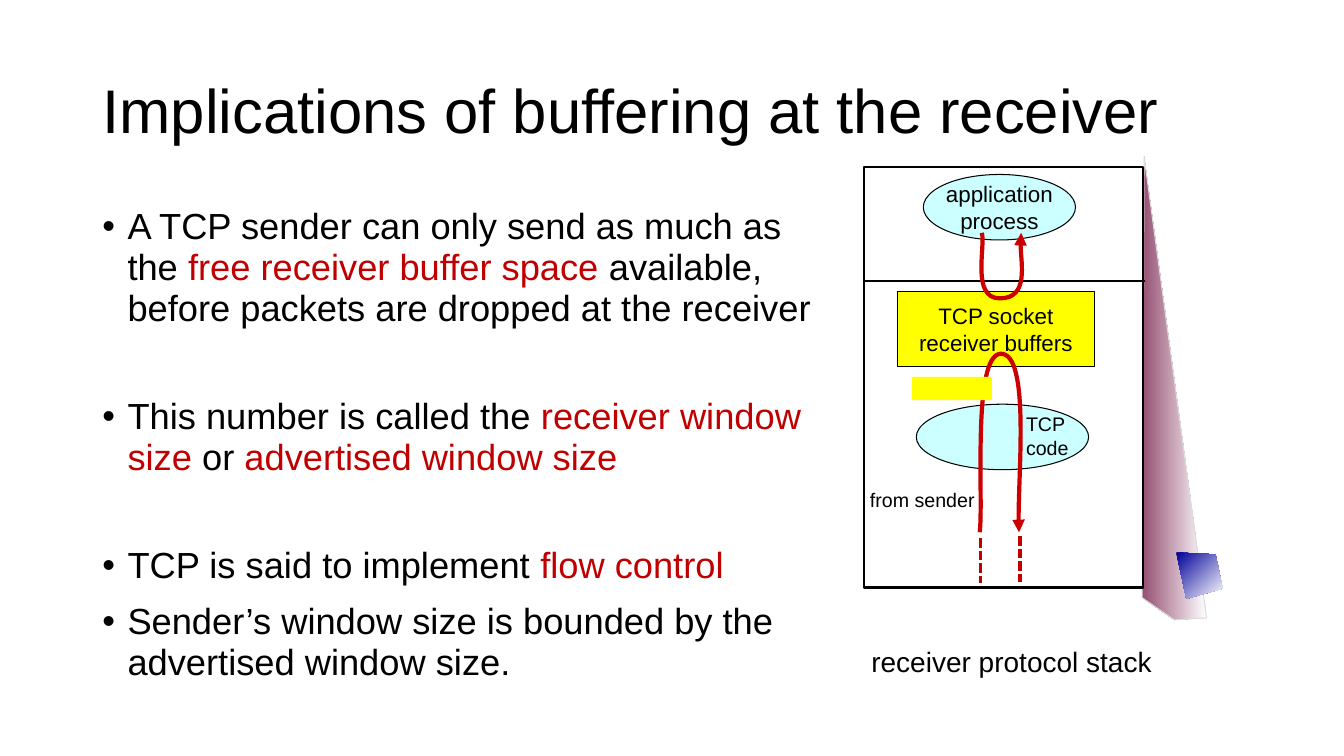
from lxml import etree
from pptx import Presentation
from pptx.dml.color import RGBColor
from pptx.enum.dml import MSO_LINE
from pptx.enum.shapes import MSO_CONNECTOR, MSO_SHAPE
from pptx.enum.text import MSO_ANCHOR, MSO_AUTO_SIZE, PP_ALIGN
from pptx.oxml.ns import qn
from pptx.util import Pt

RECTANGLE, OVAL = MSO_SHAPE.RECTANGLE, MSO_SHAPE.OVAL
LEFT, CENTER = PP_ALIGN.LEFT, PP_ALIGN.CENTER
FONT = "Arial"
HEX = {
    "black": "000000", "white": "FFFFFF", "highlight": "C00000", "flow": "CC0000",
    "process": "CCFFFF", "buffer": "FFFF00", "plum": "954F72", "navy": "000099",
    "edge": "DDDDDD",
}
COLORS = {name: RGBColor.from_string(value) for name, value in HEX.items()}

presentation = Presentation()
presentation.slide_width, presentation.slide_height = Pt(960), Pt(540)
slide = presentation.slides.add_slide(presentation.slide_layouts[5])
shapes = slide.shapes


def write_lines(shape, text, size, alignment):
    """Fill a shape with unwrapped text, one paragraph for each line."""
    frame = shape.text_frame
    frame.text = text
    frame.word_wrap = False
    for paragraph in frame.paragraphs:
        paragraph.alignment = alignment
        paragraph.font.name, paragraph.font.size = FONT, Pt(size)
        paragraph.font.color.rgb = COLORS["black"]


def add_outline(points, closed):
    (start_x, start_y), *others = points
    builder = shapes.build_freeform(Pt(start_x), Pt(start_y))
    builder.add_line_segments([(Pt(x), Pt(y)) for x, y in others], close=closed)
    shape = builder.convert_to_shape()
    shape.shadow.inherit = False
    return shape


# Title
title = shapes.title
title.left, title.top, title.width, title.height = Pt(66), Pt(29), Pt(828), Pt(104)
title.text_frame.text = "Implications of buffering at the receiver"
title.text_frame.auto_size = MSO_AUTO_SIZE.NONE
title.text_frame.vertical_anchor = MSO_ANCHOR.MIDDLE
paragraph = title.text_frame.paragraphs[0]
paragraph.alignment, paragraph.line_spacing = LEFT, 0.9
paragraph.font.name, paragraph.font.size = FONT, Pt(44)
paragraph.font.color.rgb = COLORS["black"]

# Bullets: space before, then alternating plain and highlighted runs
bullets = [
    (0, ["A TCP sender can only send as much as the ", "free receiver buffer space ",
         "available, before packets are dropped at the receiver"]),
    (48, ["This number is called the ", "receiver window size ", "or",
          " advertised window size"]),
    (48, ["TCP is said to implement ", "flow control"]),
    (11, ["Sender’s window size is bounded by the advertised window size."]),
]
body = shapes.add_textbox(Pt(66), Pt(144), Pt(533), Pt(343)).text_frame
body.word_wrap = True
for index, (space_before, parts) in enumerate(bullets):
    paragraph = body.add_paragraph() if index else body.paragraphs[0]
    properties = paragraph._p.get_or_add_pPr()
    properties.set("marL", str(Pt(18)))
    properties.set("indent", str(Pt(-18)))
    etree.SubElement(properties, qn("a:buFont")).set("typeface", FONT)
    etree.SubElement(properties, qn("a:buChar")).set("char", "•")
    paragraph.line_spacing = 0.94
    paragraph.space_before = Pt(space_before)
    paragraph.font.name, paragraph.font.size = FONT, Pt(25.9)
    for position, part in enumerate(parts):
        run = paragraph.add_run()
        run.text = part
        run.font.color.rgb = COLORS["highlight" if position % 2 else "black"]

# Perspective panel and small tilted square
panel = add_outline([(861.8, 441.4), (817.2, 111.6), (815.8, 427), (838.8, 442.8)], True)
square = add_outline([(840.2, 394.6), (868.3, 396), (873.4, 420.5), (847.4, 427.7)], True)
for shape, color, angle in [(panel, "plum", 0), (square, "navy", 315)]:
    shape.fill.gradient()
    shape.fill.gradient_angle = angle
    for stop, name in zip(shape.fill.gradient_stops, (color, "white")):
        stop.color.rgb = COLORS[name]
panel.line.color.rgb, panel.line.width = COLORS["edge"], Pt(0.75)
square.line.fill.background()

# Protocol stack
blocks = [
    (RECTANGLE, 617, 119.5, 199.4, 300.2, "white", 1.5, ""),
    (OVAL, 659.5, 124.6, 108.7, 46.8, "process", 0.75, "application\nprocess"),
    (RECTANGLE, 640.8, 208.1, 141.1, 54, "buffer", 0.75, "TCP socket\nreceiver buffers"),
    (OVAL, 654.5, 288.7, 123.1, 46.8, "process", 0.75, ""),
]
for preset, left, top, width, height, fill, line_width, text in blocks:
    block = shapes.add_shape(preset, Pt(left), Pt(top), Pt(width), Pt(height))
    block.shadow.inherit = False
    block.fill.solid()
    block.fill.fore_color.rgb = COLORS[fill]
    block.line.color.rgb, block.line.width = COLORS["black"], Pt(line_width)
    if text:
        block.text_frame.vertical_anchor = MSO_ANCHOR.MIDDLE
        write_lines(block, text, 16, CENTER)

# Divider and dashed tails
lines = [
    (617, 200.9, 817.9, 200.9, "black", 1.5, MSO_LINE.SOLID),
    (700.6, 384.5, 700.6, 416.2, "highlight", 2.25, MSO_LINE.SQUARE_DOT),
    (728.6, 383, 728.6, 415.4, "highlight", 2.25, MSO_LINE.SQUARE_DOT),
]
for x1, y1, x2, y2, color, width, dash in lines:
    connector = shapes.add_connector(MSO_CONNECTOR.STRAIGHT, Pt(x1), Pt(y1), Pt(x2), Pt(y2))
    connector.line.color.rgb, connector.line.width = COLORS[color], Pt(width)
    connector.line.dash_style = dash
    etree.SubElement(connector._element.spPr, qn("a:effectLst"))

# Flow loops: a start point, then three points for each Bézier curve
loops = [
    ("a:tailEnd", [(699.8, 380.2), (702.7, 359.3), (694.1, 252.7), (715, 252.7),
                   (735.8, 252.7), (725.8, 353.5), (727.9, 380.2)]),
    ("a:headEnd", [(729.4, 166.3), (727.2, 173.5), (735.1, 213.1), (714.2, 213.1),
                   (693.4, 213.1), (704.2, 175.7), (701.3, 166.3)]),
]
for arrow_end, points in loops:
    loop = add_outline(points, False)
    loop.fill.background()
    loop.line.color.rgb, loop.line.width = COLORS["flow"], Pt(3)
    etree.SubElement(loop.line._get_or_add_ln(), qn(arrow_end)).set("type", "triangle")
    segments = list(loop._element.iter(qn("a:lnTo")))
    for first in range(0, len(segments), 3):
        curve = etree.SubElement(segments[first].getparent(), qn("a:cubicBezTo"))
        for segment in segments[first:first + 3]:
            curve.append(segment[0])
            segment.getparent().remove(segment)

# Segment arriving from the sender
packet = shapes.add_shape(RECTANGLE, Pt(651.6), Pt(269.3), Pt(56.9), Pt(16.6))
packet.shadow.inherit = False
packet.fill.solid()
packet.fill.fore_color.rgb = COLORS["buffer"]
packet.line.fill.background()

# Labels
labels = [
    ("TCP\ncode", 725.8, 290.9, 45.4, 41, 14, LEFT),
    ("receiver protocol stack", 614.2, 456.5, 216.7, 31.7, 20, CENTER),
    ("from sender", 614.2, 344.9, 89.3, 23.8, 14, CENTER),
]
for text, left, top, width, height, size, alignment in labels:
    label = shapes.add_textbox(Pt(left), Pt(top), Pt(width), Pt(height))
    write_lines(label, text, size, alignment)

presentation.save("out.pptx")
